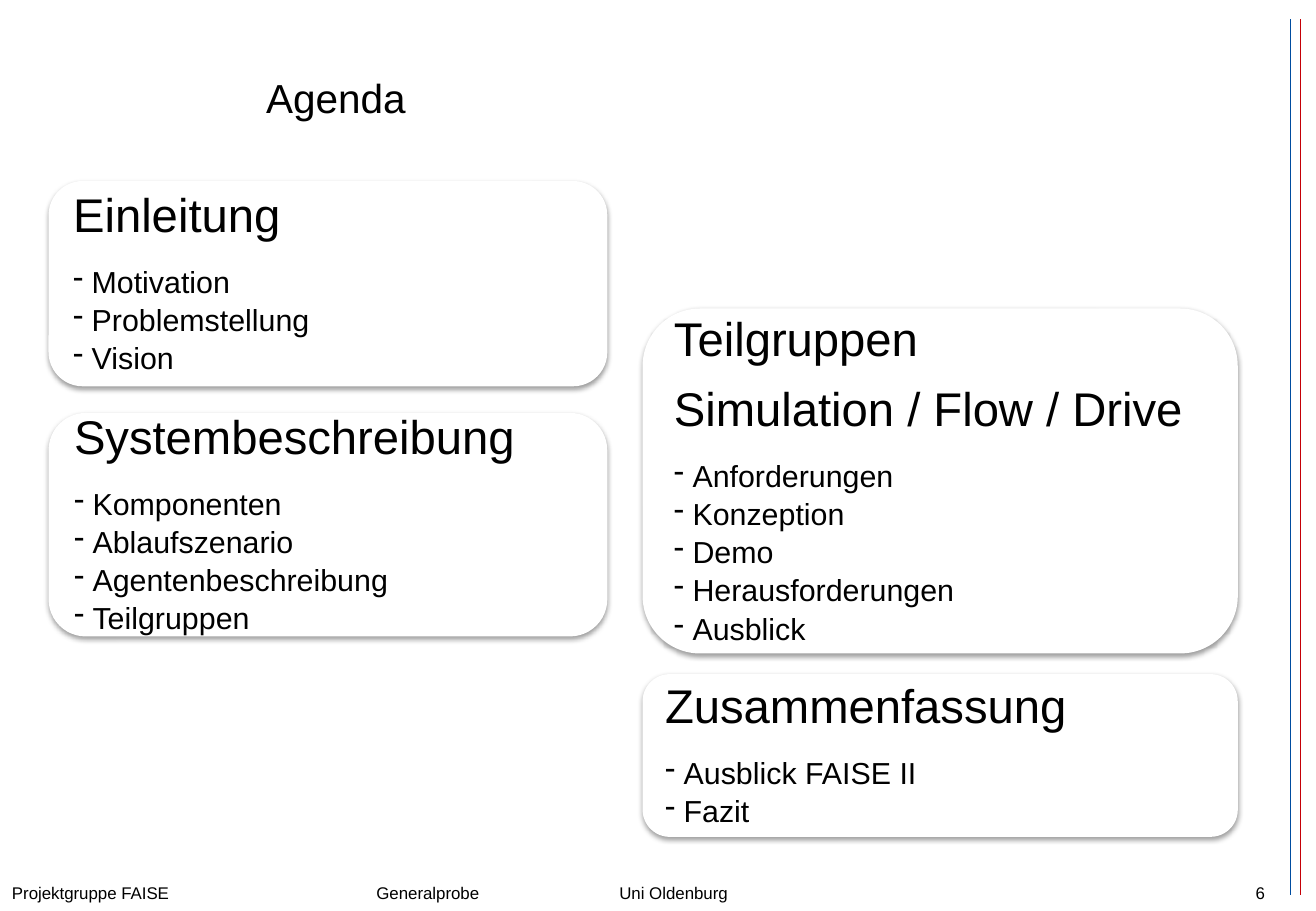
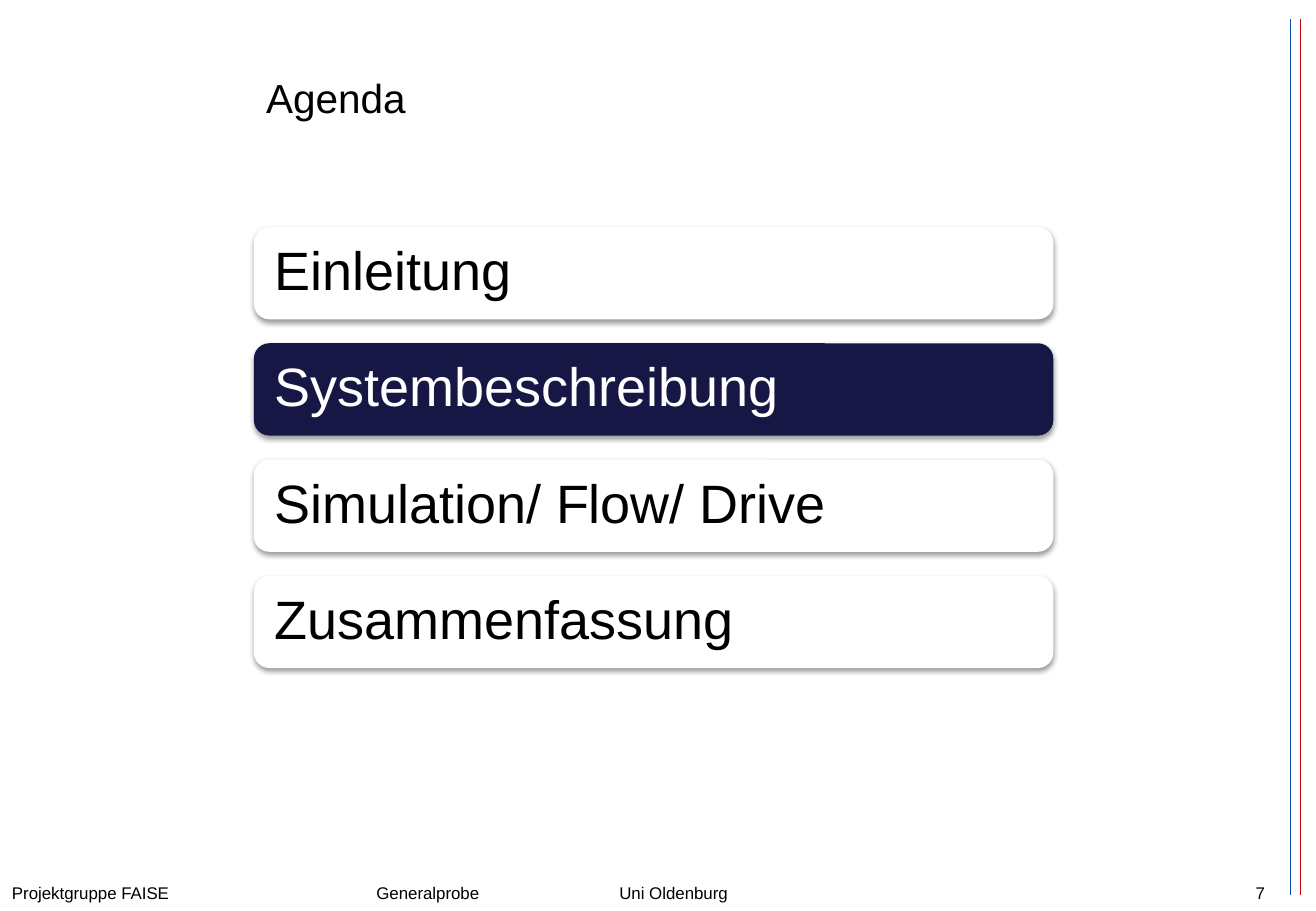
from lxml import etree
from pptx import Presentation
from pptx.dml.color import RGBColor
from pptx.enum.shapes import MSO_CONNECTOR, MSO_SHAPE
from pptx.enum.text import MSO_ANCHOR, PP_ALIGN
from pptx.oxml.ns import qn
from pptx.util import Pt

ROUNDED = MSO_SHAPE.ROUNDED_RECTANGLE
STRAIGHT = MSO_CONNECTOR.STRAIGHT
MIDDLE = MSO_ANCHOR.MIDDLE
LEFT, RIGHT = PP_ALIGN.LEFT, PP_ALIGN.RIGHT

FONT = "Arial"
COLORS = {
    "text": "000000",
    "card": "FFFFFF",
    "active": "171745",
    "active_text": "FFFFFF",
    "blue_rail": "004CA0",
    "red_rail": "C50007",
    "shadow": "000000",
}
TITLE_ONLY = 5
FOOTER_TOP = 519.84
FOOTER_PARTS = ("Projektgruppe FAISE", "Generalprobe", "Uni Oldenburg")
FOOTER_TABS = (216, 360)
FIRST_NUMBER = 6
CARD_INSET = 8.64
CHIP_INSET = 9.36
HEADING_GAP = 11
BULLET_INDENT = 11

LEFT_COLUMN = (28.8, 331.2)
RIGHT_COLUMN = (380.9, 352.8)
# column, top, height, headings, items
CARDS = (
    (LEFT_COLUMN, 107.3, 121.7, ("Einleitung",),
     ("Motivation", "Problemstellung", "Vision")),
    (LEFT_COLUMN, 244.8, 132.5, ("Systembeschreibung",),
     ("Komponenten", "Ablaufszenario", "Agentenbeschreibung", "Teilgruppen")),
    (RIGHT_COLUMN, 182.9, 204.5, ("Teilgruppen", "Simulation / Flow / Drive"),
     ("Anforderungen", "Konzeption", "Demo", "Herausforderungen", "Ausblick")),
    (RIGHT_COLUMN, 399.6, 96.5, ("Zusammenfassung",),
     ("Ausblick FAISE II", "Fazit")),
)
CHIPS = ("Einleitung", "Systembeschreibung", "Simulation/ Flow/ Drive",
         "Zusammenfassung")
ACTIVE_CHIP = "Systembeschreibung"
CHIP_LEFT, CHIP_TOP, CHIP_WIDTH, CHIP_HEIGHT = 150.5, 134.6, 473.8, 54.7
CHIP_PITCH = 68.9


def color(name):
    return RGBColor.from_string(COLORS[name])


def box(left, top, width, height):
    return Pt(left), Pt(top), Pt(width), Pt(height)


def style(paragraph, size, color_name="text", align=LEFT):
    paragraph.alignment = align
    paragraph.font.name = FONT
    paragraph.font.size = Pt(size)
    paragraph.font.color.rgb = color(color_name)


def add_rail(slide, x, color_name):
    rail = slide.shapes.add_connector(STRAIGHT, Pt(x), Pt(11.5), Pt(x), Pt(530.6))
    rail.line.color.rgb = color(color_name)
    rail.line.width = Pt(0.25)
    etree.SubElement(rail.element.spPr, qn("a:effectLst"))


def add_footer_text(slide, bounds, text, align=LEFT, tabs=()):
    text_frame = slide.shapes.add_textbox(*box(*bounds)).text_frame
    text_frame.word_wrap = True
    paragraph = text_frame.paragraphs[0]
    paragraph.text = text
    if tabs:
        tab_list = etree.SubElement(paragraph._p.get_or_add_pPr(), qn("a:tabLst"))
        for position in tabs:
            etree.SubElement(tab_list, qn("a:tab"), pos=str(Pt(position)), algn="l")
    style(paragraph, 10, align=align)


def add_agenda_slide(presentation, number):
    """Add a slide with the shared title, side rails and footer."""
    slide = presentation.slides.add_slide(presentation.slide_layouts[TITLE_ONLY])
    title = slide.shapes.title
    title.left, title.top, title.width, title.height = box(150.5, 21.6, 590.4, 72.7)
    title.text_frame.text = "Agenda"
    title.text_frame.vertical_anchor = MIDDLE
    style(title.text_frame.paragraphs[0], 24)
    add_rail(slide, 770.4, "red_rail")
    add_rail(slide, 764.6, "blue_rail")
    add_footer_text(slide, (574.6, FOOTER_TOP, 182.2, 17.3), str(number), RIGHT)
    add_footer_text(slide, (0, FOOTER_TOP, 733.7, 20.2), "\t".join(FOOTER_PARTS),
                    tabs=FOOTER_TABS)
    return slide


def add_shadow(shape):
    shape.shadow.inherit = False
    effects = shape.element.spPr.find(qn("a:effectLst"))
    shadow = etree.SubElement(effects, qn("a:outerShdw"), blurRad=str(Pt(3.1)),
                              dist=str(Pt(1.6)), dir="5400000", rotWithShape="0")
    shade = etree.SubElement(shadow, qn("a:srgbClr"), val=COLORS["shadow"])
    etree.SubElement(shade, qn("a:alpha"), val="38000")


def add_panel(slide, bounds, inset, fill="card"):
    """Add a rounded panel with a soft shadow and return its text frame."""
    panel = slide.shapes.add_shape(ROUNDED, *box(*bounds))
    panel.fill.solid()
    panel.fill.fore_color.rgb = color(fill)
    panel.line.fill.background()
    add_shadow(panel)
    text_frame = panel.text_frame
    text_frame.word_wrap = True
    text_frame.vertical_anchor = MIDDLE
    text_frame.margin_left = text_frame.margin_right = Pt(inset)
    text_frame.margin_top = text_frame.margin_bottom = Pt(inset)
    return text_frame


def add_heading(paragraph, text, size, color_name="text"):
    paragraph.text = text
    paragraph.line_spacing = 0.9
    style(paragraph, size, color_name)


def add_dash_item(paragraph, text):
    paragraph.text = text
    properties = paragraph._p.get_or_add_pPr()
    properties.set("marL", str(Pt(BULLET_INDENT)))
    properties.set("indent", str(-Pt(BULLET_INDENT)))
    etree.SubElement(properties, qn("a:buChar"), char="-")
    paragraph.line_spacing = 1.05
    style(paragraph, 18)


def add_card(slide, column, top, height, headings, items):
    left, width = column
    text_frame = add_panel(slide, (left, top, width, height), CARD_INSET)
    for index, heading in enumerate(headings):
        paragraph = text_frame.add_paragraph() if index else text_frame.paragraphs[0]
        add_heading(paragraph, heading, 28)
        paragraph.space_after = Pt(HEADING_GAP)
    for item in items:
        add_dash_item(text_frame.add_paragraph(), item)


def add_chip(slide, index, text):
    active = text == ACTIVE_CHIP
    top = CHIP_TOP + index * CHIP_PITCH
    text_frame = add_panel(slide, (CHIP_LEFT, top, CHIP_WIDTH, CHIP_HEIGHT),
                           CHIP_INSET, "active" if active else "card")
    add_heading(text_frame.paragraphs[0], text, 32,
                "active_text" if active else "text")


def main():
    presentation = Presentation()
    presentation.slide_width, presentation.slide_height = Pt(780), Pt(540)
    overview = add_agenda_slide(presentation, FIRST_NUMBER)
    for card in CARDS:
        add_card(overview, *card)
    progress = add_agenda_slide(presentation, FIRST_NUMBER + 1)
    for index, text in enumerate(CHIPS):
        add_chip(progress, index, text)
    presentation.save("out.pptx")


if __name__ == "__main__":
    main()
